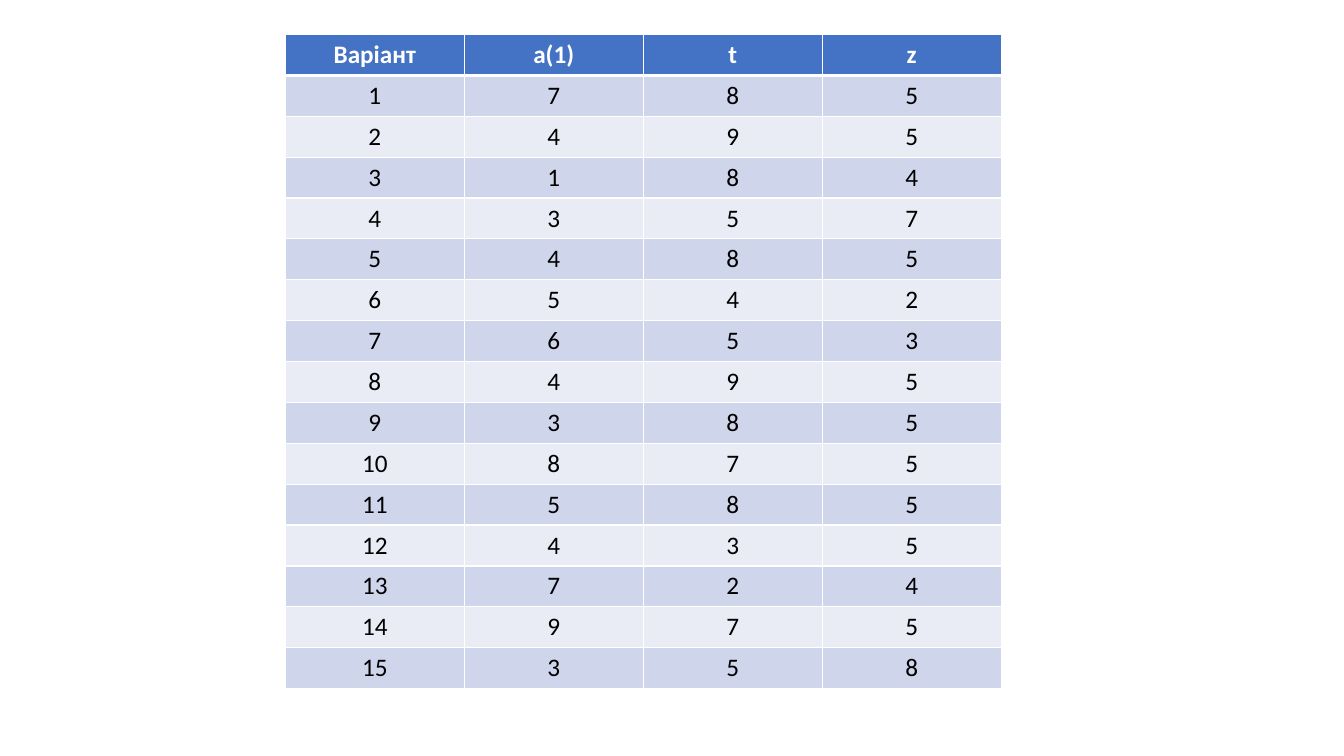
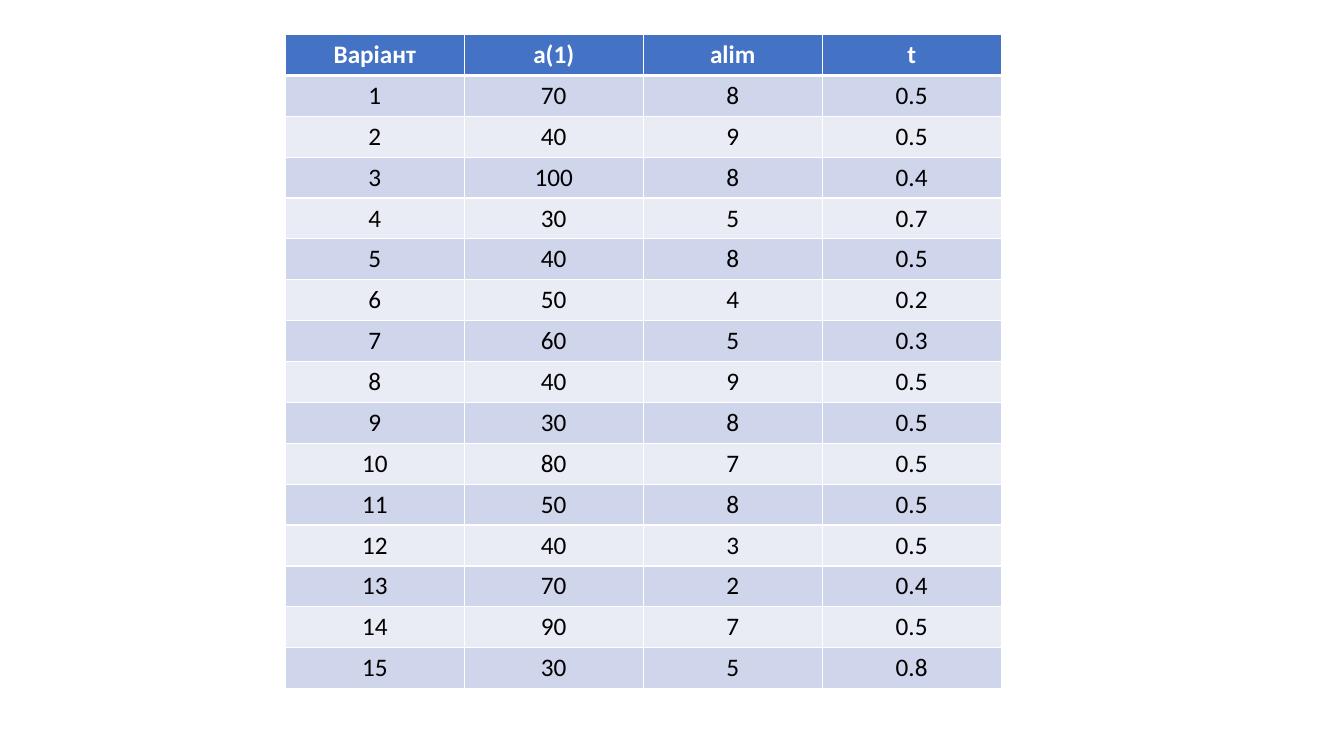
from lxml.etree import SubElement
from pptx import Presentation
from pptx.dml.color import RGBColor
from pptx.enum.text import PP_ALIGN
from pptx.oxml.ns import qn
from pptx.util import Cm, Pt

TABLES = [
    (
        ("Варіант", "а(1)", "t", "z"),
        [
            (7, 8, 5), (4, 9, 5), (1, 8, 4), (3, 5, 7), (4, 8, 5),
            (5, 4, 2), (6, 5, 3), (4, 9, 5), (3, 8, 5), (8, 7, 5),
            (5, 8, 5), (4, 3, 5), (7, 2, 4), (9, 7, 5), (3, 5, 8),
        ],
    ),
    (
        ("Варіант", "а(1)", "alim", "t"),
        [
            (70, 8, 0.5), (40, 9, 0.5), (100, 8, 0.4), (30, 5, 0.7), (40, 8, 0.5),
            (50, 4, 0.2), (60, 5, 0.3), (40, 9, 0.5), (30, 8, 0.5), (80, 7, 0.5),
            (50, 8, 0.5), (40, 3, 0.5), (70, 2, 0.4), (90, 7, 0.5), (30, 5, 0.8),
        ],
    ),
]

WHITE = RGBColor(0xFF, 0xFF, 0xFF)
BLACK = RGBColor(0x00, 0x00, 0x00)
BLUE = RGBColor(0x44, 0x72, 0xC4)
BANDS = (RGBColor(0xE9, 0xEB, 0xF5), RGBColor(0xCF, 0xD5, 0xEA))
FONT = "Calibri"
SIZE = Pt(18)
LEFT, TOP = Cm(7.19), Cm(0.87)
COL, ROW = Cm(4.51), Cm(1.03)
THIN, THICK = Pt(1), Pt(3)


def add_edges(cell, top, bottom):
    props = cell._tc.get_or_add_tcPr()
    sides = (("lnL", THIN), ("lnR", THIN), ("lnT", top), ("lnB", bottom))
    for place, (side, width) in enumerate(sides):
        line = SubElement(props, qn(f"a:{side}"), w=str(width))
        fill = SubElement(line, qn("a:solidFill"))
        SubElement(fill, qn("a:srgbClr"), val=str(WHITE))
        props.insert(place, line)


def fill_cell(cell, value, row):
    head = row == 0
    cell.fill.solid()
    cell.fill.fore_color.rgb = BLUE if head else BANDS[row % 2]
    add_edges(cell, THICK if row == 1 else THIN, THICK if head else THIN)
    cell.text_frame.text = str(value)
    para = cell.text_frame.paragraphs[0]
    para.alignment = PP_ALIGN.CENTER
    font = para.runs[0].font
    font.name, font.size, font.bold = FONT, SIZE, head
    font.color.rgb = WHITE if head else BLACK


def add_grid(slide, head, body):
    rows = [head] + [(num, *vals) for num, vals in enumerate(body, 1)]
    frame = slide.shapes.add_table(
        len(rows), len(head), LEFT, TOP, COL * len(head), ROW * len(rows)
    )
    for row, vals in enumerate(rows):
        for col, value in enumerate(vals):
            fill_cell(frame.table.cell(row, col), value, row)


deck = Presentation()
deck.slide_width, deck.slide_height = Cm(33.87), Cm(19.05)
blank = deck.slide_layouts[6]
for head, body in TABLES:
    add_grid(deck.slides.add_slide(blank), head, body)
deck.save("out.pptx")
